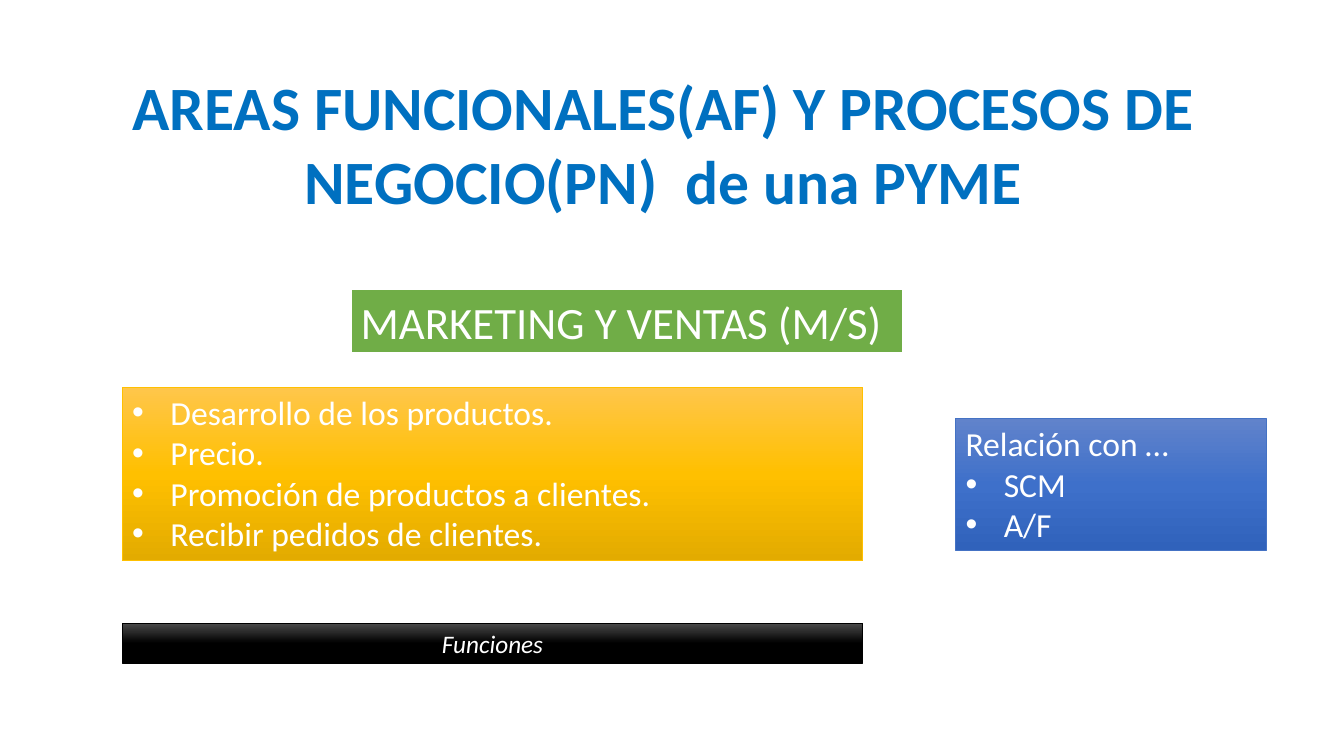
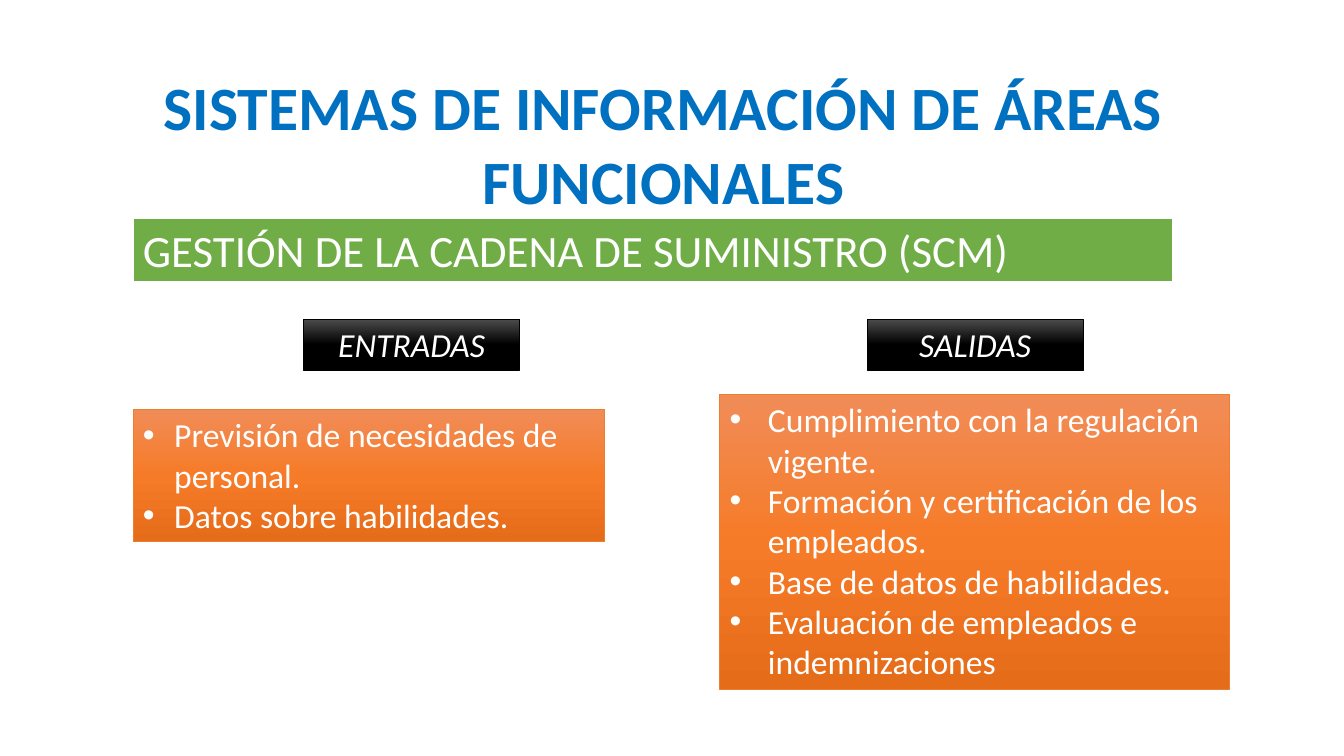
from copy import deepcopy
from dataclasses import dataclass

from pptx import Presentation
from pptx.dml.color import RGBColor
from pptx.enum.shapes import MSO_SHAPE
from pptx.enum.text import MSO_ANCHOR, MSO_AUTO_SIZE, PP_ALIGN
from pptx.oxml.ns import qn
from pptx.util import Inches, Pt

RECTANGLE = MSO_SHAPE.RECTANGLE
TOP = MSO_ANCHOR.TOP
GROW = MSO_AUTO_SIZE.SHAPE_TO_FIT_TEXT
LEFT, CENTER = PP_ALIGN.LEFT, PP_ALIGN.CENTER

SLIDE_WIDTH, SLIDE_HEIGHT = Inches(13.33), Inches(7.5)
COLUMN, ROW = SLIDE_WIDTH / 100, SLIDE_HEIGHT / 100
FONT = "Calibri"
TITLE_ONLY = 5

WHITE = RGBColor(0xFF, 0xFF, 0xFF)
TITLE_BLUE = RGBColor(0x00, 0x70, 0xC0)
GREEN = RGBColor(0x70, 0xAD, 0x47)
BLACK = RGBColor(0x00, 0x00, 0x00)
GOLD = RGBColor(0xFF, 0xC0, 0x00)
BLUE = RGBColor(0x44, 0x72, 0xC4)
ORANGE = RGBColor(0xED, 0x7D, 0x31)
GRADIENTS = {
    BLACK: (RGBColor(0x4B, 0x4B, 0x4B), BLACK, BLACK),
    GOLD: (RGBColor(0xFF, 0xC6, 0x4B), GOLD, RGBColor(0xE3, 0xAB, 0x00)),
    BLUE: (RGBColor(0x61, 0x83, 0xCB), RGBColor(0x3E, 0x70, 0xCA), RGBColor(0x30, 0x62, 0xBB)),
    ORANGE: (RGBColor(0xF1, 0x8C, 0x57), RGBColor(0xF6, 0x7B, 0x28), RGBColor(0xE5, 0x6C, 0x19)),
}


@dataclass
class Box:
    left: float
    top: float
    width: float
    height: float

    def inner(self, left, top, width, height):
        return Box(self.left + left, self.top + top, width, height)

    def lengths(self):
        return (round(self.left * COLUMN), round(self.top * ROW),
                round(self.width * COLUMN), round(self.height * ROW))


TITLE_BOX = Box(4.88, 8.4, 89, 21.1)


def add_bullet(para, indent):
    properties = para._p.get_or_add_pPr()
    properties.set("marL", str(Inches(indent)))
    properties.set("indent", str(-Inches(indent)))
    font = properties.makeelement(qn("a:buFont"), {"typeface": "Arial"})
    bullet = properties.makeelement(qn("a:buChar"), {"char": "•"})
    properties.extend((font, bullet))


def write(frame, lines, size=24, color=WHITE, bold=False, italic=False,
          align=LEFT, indent=0, plain_lines=0):
    frame.word_wrap = True
    frame.auto_size = GROW
    frame.vertical_anchor = TOP
    for index, line in enumerate(lines):
        para = frame.paragraphs[0] if index == 0 else frame.add_paragraph()
        para.alignment = align
        if indent and index >= plain_lines:
            add_bullet(para, indent)
        span = para.add_run()
        span.text = line
        font = span.font
        font.name, font.size, font.color.rgb = FONT, Pt(size), color
        font.bold, font.italic = bold, italic


def fill_gradient(shape, colors):
    shape.fill.gradient()
    shape.fill.gradient_angle = 270
    stop_list = shape._element.spPr.find(".//" + qn("a:gsLst"))
    stop_list.insert(1, deepcopy(stop_list[0]))
    for index, (stop, color) in enumerate(zip(shape.fill.gradient_stops, colors)):
        stop.color.rgb = color
        stop.position = index / 2


def add_panel(page, box, lines, color, line_color=None, line_width=0.5, **text_format):
    panel = page.shapes.add_shape(RECTANGLE, *box.lengths())
    panel.shadow.inherit = False
    if color in GRADIENTS:
        fill_gradient(panel, GRADIENTS[color])
    else:
        panel.fill.solid()
        panel.fill.fore_color.rgb = color
    panel.line.color.rgb = line_color or color
    panel.line.width = Pt(line_width)
    write(panel.text_frame, lines, **text_format)


def add_label(page, box, text, size=24):
    add_panel(page, box, [text], BLACK, size=size, italic=True, align=CENTER)


def add_page(deck, title, heading, heading_box):
    page = deck.slides.add_slide(deck.slide_layouts[TITLE_ONLY])
    holder = page.shapes.title
    holder.left, holder.top, holder.width, holder.height = TITLE_BOX.lengths()
    write(holder.text_frame, [title], size=44, color=TITLE_BLUE, bold=True, align=CENTER)
    add_panel(page, heading_box, [heading], GREEN, line_color=WHITE, line_width=1.5, size=32)
    return page


def add_functions(page, box, items):
    label_height = 5.35
    add_label(page, box.inner(0, box.height - label_height, box.width, label_height),
              "Funciones", size=18)
    add_panel(page, box.inner(0, 0, box.width, 22.95), items, GOLD, indent=0.38)


def add_flow(page, box, label, items, label_left, list_top, indent):
    add_label(page, box.inner(label_left, 0, 16.1, 6.7), label)
    add_panel(page, box.inner(0, list_top, box.width, box.height - list_top),
              items, ORANGE, indent=indent)


def add_area_page(deck):
    page = add_page(deck, "AREAS FUNCIONALES(AF) Y PROCESOS DE NEGOCIO(PN)  de una PYME",
                    "MARKETING Y VENTAS (M/S)", Box(26.1, 38.27, 41.1, 8.5))
    add_functions(page, Box(9.1, 51.2, 55.1, 36.55), [
        "Desarrollo de los productos.",
        "Precio.",
        "Promoción de productos a clientes.",
        "Recibir pedidos de clientes.",
    ])
    add_panel(page, Box(71.1, 55.35, 23.1, 17.5), ["Relación con …", "SCM", "A/F"],
              BLUE, indent=0.38, plain_lines=1)


def add_system_page(deck):
    page = add_page(deck, "SISTEMAS DE INFORMACIÓN DE ÁREAS FUNCIONALES",
                    "GESTIÓN DE LA CADENA DE SUMINISTRO (SCM)", Box(9.9, 28.8, 77.4, 8.5))
    add_flow(page, Box(9.9, 42.25, 35.1, 29.4), "ENTRADAS", [
        "Previsión de necesidades de personal.",
        "Datos sobre habilidades.",
    ], label_left=12.68, list_top=11.9, indent=0.31)
    add_flow(page, Box(53.55, 42.25, 37.95, 48.95), "SALIDAS", [
        "Cumplimiento con la regulación vigente.",
        "Formación y certificación de los empleados.",
        "Base de datos de habilidades.",
        "Evaluación de empleados e indemnizaciones",
    ], label_left=10.95, list_top=9.9, indent=0.38)


def main():
    deck = Presentation()
    deck.slide_width, deck.slide_height = SLIDE_WIDTH, SLIDE_HEIGHT
    add_area_page(deck)
    add_system_page(deck)
    deck.save("out.pptx")


if __name__ == "__main__":
    main()
